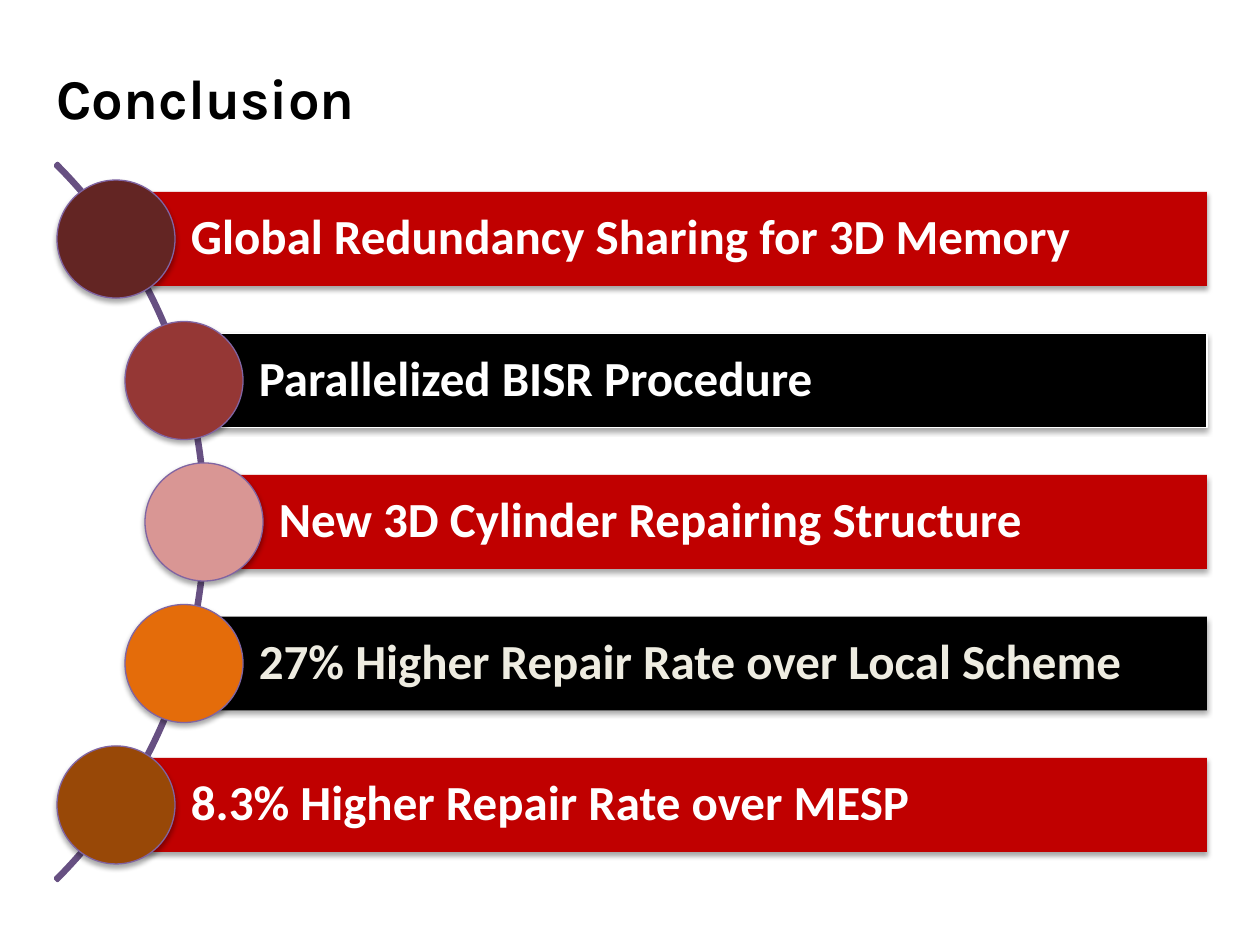
from dataclasses import dataclass

from lxml.etree import SubElement
from pptx import Presentation
from pptx.dml.color import RGBColor
from pptx.enum.shapes import MSO_SHAPE as Shape
from pptx.enum.text import MSO_ANCHOR as Anchor, PP_ALIGN as Align
from pptx.oxml.ns import qn
from pptx.util import Emu, Pt

PX_PER_INCH = 126


@dataclass(frozen=True)
class Theme:
    title_font: str = "Karla"
    body_font: str = "Calibri"
    title_size: int = 32
    body_size: int = 28
    red: str = "C00000"
    black: str = "000000"
    white: str = "FFFFFF"
    cream: str = "EEECE1"
    arc: str = "675082"
    ring: str = "8064A2"


@dataclass(frozen=True)
class Point:
    text: str
    center_x: int
    bar: str
    dot: str
    color: str = Theme.white
    outline: str | None = None


T = Theme()
POINTS = [
    Point("Global Redundancy Sharing for 3D Memory", 116, T.red, "632523"),
    Point("Parallelized BISR Procedure", 184, T.black, "953735", outline=T.white),
    Point("New 3D Cylinder Repairing Structure", 204, T.red, "D99694"),
    Point("27% Higher Repair Rate over Local Scheme", 184, T.black, "E46C0A", T.cream),
    Point("8.3% Higher Repair Rate over MESP", 116, T.red, "984807"),
]
FIRST_Y, LAST_Y = 239, 805
BAR_RIGHT, BAR_HEIGHT = 1207, 94
DOT_SIZE = 118
ARC_SIZE, ARC_LEFT, ARC_TOP = 1014, -808, 15


def px(n: float) -> Emu:
    return Emu(round(n * 914400 / PX_PER_INCH))


def add_shadow(sp) -> None:
    sp.shadow.inherit = False
    effects = sp._element.spPr.find(qn("a:effectLst"))
    shadow = SubElement(effects, qn("a:outerShdw"), blurRad=str(Pt(3.1)),
                        dist=str(Pt(1.8)), dir="5400000", rotWithShape="0")
    color = SubElement(shadow, qn("a:srgbClr"), val=T.black)
    SubElement(color, qn("a:alpha"), val="35000")


def add_filled(slide, kind: Shape, box: tuple, fill: str, outline: str | None):
    sp = slide.shapes.add_shape(kind, *map(px, box))
    sp.fill.solid()
    sp.fill.fore_color.rgb = RGBColor.from_string(fill)
    if outline:
        sp.line.color.rgb = RGBColor.from_string(outline)
        sp.line.width = Pt(0.75)
    else:
        sp.line.fill.background()
    add_shadow(sp)
    return sp


def write(sp, text: str, font: str, size: int, color: str, **frame) -> None:
    """Put one bold, left-aligned line in a shape; frame holds text frame settings."""
    tf = sp.text_frame
    settings = {"word_wrap": True, "vertical_anchor": Anchor.MIDDLE, **frame}
    for name, value in settings.items():
        setattr(tf, name, value)
    p = tf.paragraphs[0]
    p.alignment = Align.LEFT
    r = p.add_run()
    r.text = text
    for name, value in {"name": font, "size": Pt(size), "bold": True}.items():
        setattr(r.font, name, value)
    r.font.color.rgb = RGBColor.from_string(color)


def add_arc(slide) -> None:
    box = (ARC_LEFT, ARC_TOP, ARC_SIZE, ARC_SIZE)
    sp = slide.shapes.add_shape(Shape.BLOCK_ARC, *map(px, box))
    for i, value in enumerate((189, 27, 0.003)):
        sp.adjustments[i] = value
    sp.shadow.inherit = False
    sp.fill.background()
    sp.line.color.rgb = RGBColor.from_string(T.arc)
    sp.line.width = Pt(2)


def add_point(slide, point: Point, y: float) -> None:
    x = point.center_x
    bar = add_filled(slide, Shape.RECTANGLE,
                     (x, y - BAR_HEIGHT / 2, BAR_RIGHT - x, BAR_HEIGHT),
                     point.bar, point.outline)
    write(bar, point.text, T.body_font, T.body_size, point.color,
          margin_left=px(75), margin_right=px(10),
          margin_top=px(10), margin_bottom=px(10))
    bar.text_frame.paragraphs[0].line_spacing = 0.9
    add_filled(slide, Shape.OVAL,
               (x - DOT_SIZE / 2, y - DOT_SIZE / 2, DOT_SIZE, DOT_SIZE),
               point.dot, T.ring)


def main() -> None:
    prs = Presentation()
    prs.slide_width, prs.slide_height = px(1260), px(945)
    slide = prs.slides.add_slide(prs.slide_layouts[6])

    add_arc(slide)
    pitch = (LAST_Y - FIRST_Y) / (len(POINTS) - 1)
    for i, point in enumerate(POINTS):
        add_point(slide, point, FIRST_Y + i * pitch)

    title = slide.shapes.add_textbox(*map(px, (44, 45, 1173, 105)))
    write(title, "Conclusion", T.title_font, T.title_size, T.black)

    prs.save("out.pptx")


if __name__ == "__main__":
    main()
